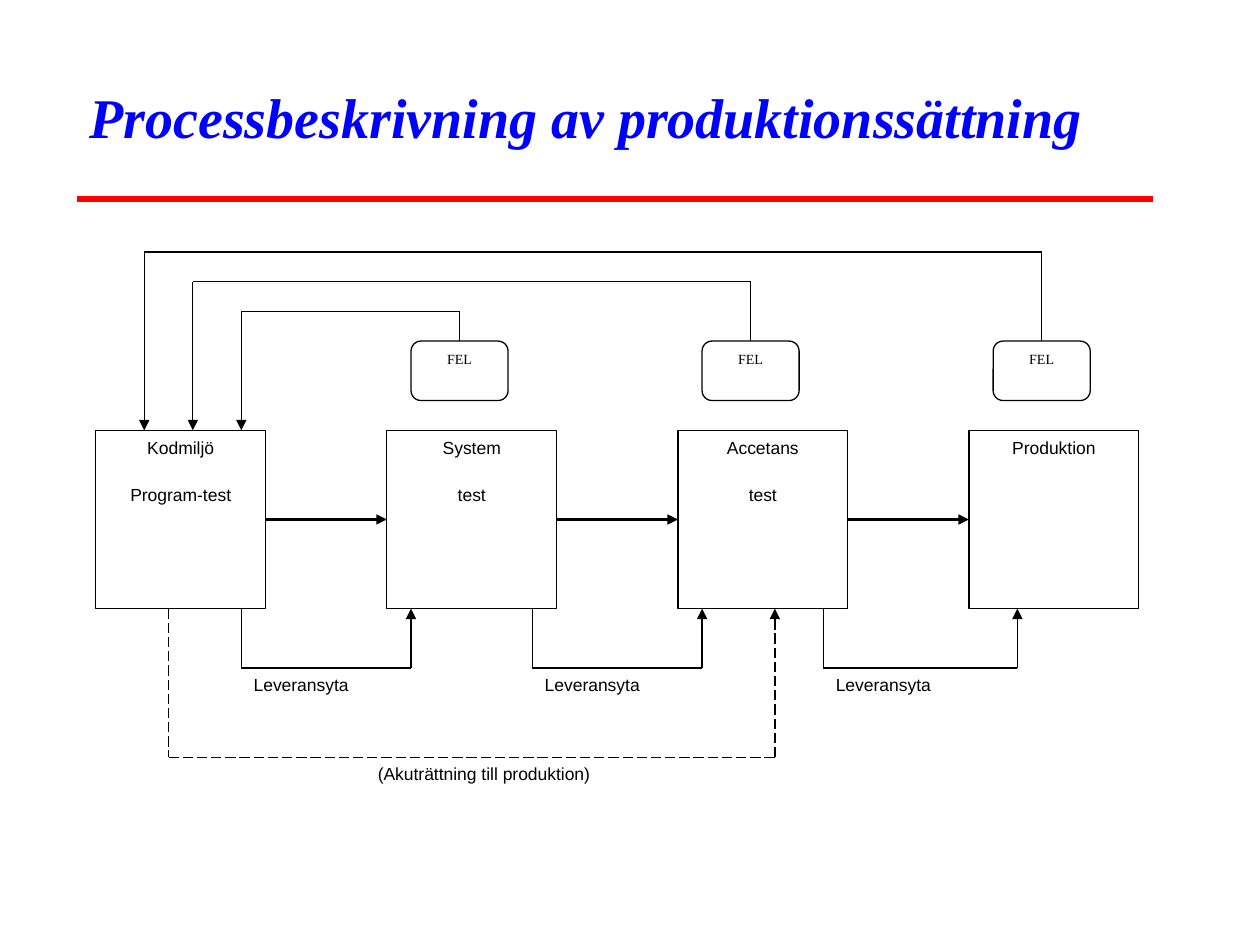
"""Build a process slide: four stages, deliveries, error returns and an urgent path."""
from itertools import pairwise
from lxml import etree
from pptx import Presentation
from pptx.dml.color import RGBColor
from pptx.enum.dml import MSO_LINE
from pptx.enum.shapes import MSO_CONNECTOR, MSO_SHAPE
from pptx.enum.text import MSO_ANCHOR, PP_ALIGN
from pptx.oxml.ns import qn
from pptx.util import Inches, Pt

STRAIGHT = MSO_CONNECTOR.STRAIGHT
RECT, TAG = MSO_SHAPE.RECTANGLE, MSO_SHAPE.FLOWCHART_ALTERNATE_PROCESS
TOP, MIDDLE = MSO_ANCHOR.TOP, MSO_ANCHOR.MIDDLE
LEFT, CENTER = PP_ALIGN.LEFT, PP_ALIGN.CENTER
DASH = MSO_LINE.LONG_DASH

THEME = {
    "ink": RGBColor(0, 0, 0), "paper": RGBColor(255, 255, 255),
    "title": RGBColor(0, 0, 255), "rule": RGBColor(255, 0, 0),
    "sans": "Arial", "serif": "Times New Roman",
    "head": Pt(32), "body": Pt(10), "small": Pt(8),
    "thin": Pt(0.75), "flow": Pt(1.25), "thick": Pt(3),
}

STEP = 12
COL = Inches(2.31) / STEP
ROW = Inches(4.01) / 17


def spot(col, row):
    return round(Inches(0.76) + col * COL), round(Inches(2) + row * ROW)


def route(points, width, color=THEME["ink"], dash=None, arrow=True):
    lines = []
    for start, end in pairwise(points):
        line = slide.shapes.add_connector(STRAIGHT, *start, *end)
        line.line.width = width
        line.line.color.rgb = color
        if dash:
            line.line.dash_style = dash
        etree.SubElement(line._element.spPr, qn("a:effectLst"))
        lines.append(line)
    if arrow:
        etree.SubElement(lines[-1].line._get_or_add_ln(), qn("a:tailEnd"), type="triangle")
    return lines


deck = Presentation()
deck.slide_width, deck.slide_height = Inches(10), Inches(7.5)
slide = deck.slides.add_slide(deck.slide_layouts[5])

edge, base = Inches(0.61), Inches(1.58)
route([(edge, base), (Inches(9.15), base)], THEME["thick"], THEME["rule"], arrow=False)
title = slide.shapes.title
title.left, title.top, title.width, title.height = edge, Inches(0.33), Inches(8.5), Inches(1.25)
title.text_frame.text = "Processbeskrivning av produktionssättning"
title.text_frame.vertical_anchor = MIDDLE
para = title.text_frame.paragraphs[0]
para.alignment, para.line_spacing = LEFT, 0.9
para.font.name, para.font.size = THEME["serif"], THEME["head"]
para.font.bold = para.font.italic = True
para.font.color.rgb = THEME["title"]

stages = ["Kodmiljö\nProgram-test", "System\ntest", "Accetans\ntest", "Produktion"]
items = [(RECT, STEP * i, 6, 7, 6, text, CENTER) for i, text in enumerate(stages)]
items += [(TAG, STEP * i + 1, 3, 4, 2, "FEL", CENTER) for i in (1, 2, 3)]
items += [(None, STEP * i + 6, 14, 8, 2, "Leveransyta", LEFT) for i in range(3)]
items.append((None, 5, 17, 22, 2, "(Akuträttning till produktion)", CENTER))

shapes = []
for kind, col, row, wide, high, text, align in items:
    area = *spot(col, row), round(wide * COL), round(high * ROW)
    if kind is None:
        shape = slide.shapes.add_textbox(*area)
    else:
        shape = slide.shapes.add_shape(kind, *area)
        shape.shadow.inherit = False
        shape.line.color.rgb, shape.line.width = THEME["ink"], THEME["thin"]
        if kind == TAG:
            shape.fill.solid()
            shape.fill.fore_color.rgb = THEME["paper"]
        else:
            shape.fill.background()
    frame = shape.text_frame
    frame.word_wrap, frame.vertical_anchor, frame.text = True, TOP, text
    for para in frame.paragraphs:
        para.alignment = align
        para.font.name = THEME["serif" if kind == TAG else "sans"]
        para.font.size = THEME["small" if kind == TAG else "body"]
        para.font.color.rgb = THEME["ink"]
        if kind != TAG:
            para.space_before, para.space_after = Pt(12), Pt(3)
    shapes.append(shape)
boxes, tags = shapes[:4], shapes[4:7]

for i, (box, after) in enumerate(pairwise(boxes)):
    flow = route([spot(STEP * i + 7, 9), spot(STEP * (i + 1), 9)], THEME["flow"])[0]
    flow.begin_connect(box, 3)
    flow.end_connect(after, 1)

for start, end in ((6, 13), (18, 25), (30, 38)):
    route([spot(start, 12), spot(start, 14), spot(end, 14), spot(end, 12)], THEME["thin"])

for i, tag in enumerate(tags):
    start, end, row = STEP * (i + 1) + 3, 6 - 2 * i, 2 - i
    back = route([spot(start, 3), spot(start, row), spot(end, row), spot(end, 6)], THEME["thin"])
    back[0].begin_connect(tag, 0)

route([spot(3, 12), spot(3, 17), spot(28, 17), spot(28, 12)], THEME["thin"], dash=DASH)

deck.save("out.pptx")
